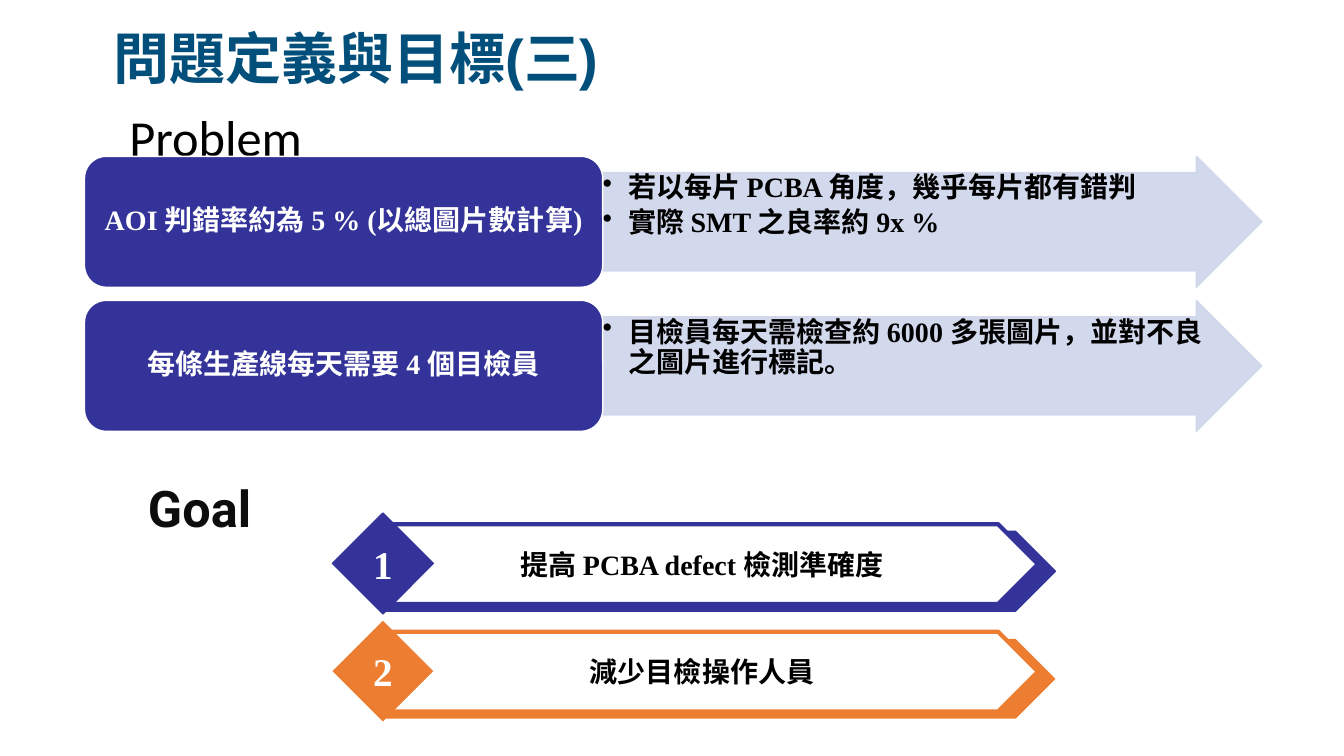
from lxml import etree
from pptx import Presentation
from pptx.dml.color import RGBColor
from pptx.enum.shapes import MSO_SHAPE
from pptx.enum.text import MSO_ANCHOR, MSO_AUTO_SIZE, PP_ALIGN
from pptx.oxml.ns import qn
from pptx.util import Cm, Pt

PLATE, GEM = MSO_SHAPE.PENTAGON, MSO_SHAPE.DIAMOND
ARROW, ROUND = MSO_SHAPE.RIGHT_ARROW, MSO_SHAPE.ROUNDED_RECTANGLE
TOP, MID = MSO_ANCHOR.TOP, MSO_ANCHOR.MIDDLE
LEFT, MIDDLE = PP_ALIGN.LEFT, PP_ALIGN.CENTER
FIXED, GROW = MSO_AUTO_SIZE.NONE, MSO_AUTO_SIZE.SHAPE_TO_FIT_TEXT

HUES = {"navy": "333399", "orange": "ED7D31", "pale": "CFD5EA", "white": "FFFFFF",
        "black": "000000", "ink": "0D0D0D", "teal": "024F7C"}
SERIF, HAN = "Times New Roman", "Noto Sans CJK TC"


def hue(name):
    return RGBColor.from_string(HUES[name])


class Deck:
    def __init__(self):
        self.prs = Presentation()
        self.prs.slide_width, self.prs.slide_height = Cm(33.87), Cm(19.05)
        self.slide = self.prs.slides.add_slide(self.prs.slide_layouts[5])

    def frame(self, shape, pads=(0.25, 0.13, 0.25, 0.13), anchor=MID, fit=FIXED):
        """Set up the text frame of a shape; pads are left, top, right, bottom."""
        tf = shape.text_frame
        tf.word_wrap = True
        tf.auto_size = fit
        tf.vertical_anchor = anchor
        (tf.margin_left, tf.margin_top,
         tf.margin_right, tf.margin_bottom) = [Cm(pad) for pad in pads]
        return tf

    def add_run(self, para, text, size, color, font=SERIF, bold=True, align=MIDDLE, lead=None):
        para.alignment = align
        para.line_spacing = lead
        run = para.add_run()
        run.text = text
        run.font.size = Pt(size)
        run.font.bold = bold
        run.font.name = font
        run.font.color.rgb = hue(color)
        east = etree.Element(qn("a:ea"), typeface=HAN)
        run.font._element.find(qn("a:latin")).addnext(east)

    def title(self, box, text, pads, size, color, font):
        shape = self.slide.shapes.title
        shape.left, shape.top, shape.width, shape.height = [Cm(n) for n in box]
        tf = self.frame(shape, pads)
        self.add_run(tf.paragraphs[0], text, size, color, font, False, LEFT, 0.9)

    def text(self, box, text, pads, size, color, font, fit=FIXED, lead=None):
        shape = self.slide.shapes.add_textbox(*[Cm(n) for n in box])
        tf = self.frame(shape, pads, fit=fit)
        self.add_run(tf.paragraphs[0], text, size, color, font, align=LEFT, lead=lead)

    def bullets(self, box, items):
        shape = self.slide.shapes.add_textbox(*[Cm(n) for n in box])
        tf = self.frame(shape, (0.03,) * 4, TOP)
        for i, item in enumerate(items):
            para = tf.add_paragraph() if i else tf.paragraphs[0]
            props = para._p.get_or_add_pPr()
            props.set("marL", str(Cm(0.64)))
            props.set("indent", str(-Cm(0.64)))
            etree.SubElement(props, qn("a:buChar"), char="•")
            para.space_after = Pt(3)
            self.add_run(para, item, 20, "black", align=LEFT, lead=0.9)

    def shape(self, kind, box, fill, line=None, width=1, alpha=None):
        shape = self.slide.shapes.add_shape(kind, *[Cm(n) for n in box])
        shape.shadow.inherit = False
        shape.fill.solid()
        shape.fill.fore_color.rgb = hue(fill)
        if line:
            shape.line.color.rgb = hue(line)
            shape.line.width = Pt(width)
        else:
            shape.line.fill.background()
        if alpha:
            for tint in shape._element.spPr.iter(qn("a:srgbClr")):
                etree.SubElement(tint, qn("a:alpha"), val=str(alpha * 1000))
        return shape

    def label(self, shape, text, size, color, lead=None, pads=(0.25, 0.13, 0.25, 0.13)):
        tf = self.frame(shape, pads)
        self.add_run(tf.paragraphs[0], text, size, color, lead=lead)


def main():
    deck = Deck()

    # Section titles
    deck.title((0.56, 1.68, 29.21, 3.68), "Problem", (2.7, 0.13, 0.25, 0.13),
               36, "black", "Calibri")
    deck.text((0, 11.71, 33.87, 2.13), "Goal", (3.73, 0.13, 0.25, 0.13),
              36, "ink", "Roboto")

    # Goals: offset plate, front plate, numbered diamond
    goals = [("提高 PCBA defect 檢測準確度", "navy", "navy"),
             ("減少目檢操作人員", "orange", None)]
    for i, (goal, color, edge) in enumerate(goals):
        top = 12.93 + i * 2.71
        deck.shape(PLATE, (9.73, top + 0.46, 16.87, 2.01), color, edge)
        front = deck.shape(PLATE, (9.73, top + 0.28, 16.43, 2.01), "white", color, 3)
        deck.label(front, goal, 20, "black")
        gem = deck.shape(GEM, (8.38, top, 2.54, 2.54), color, edge)
        deck.label(gem, str(i + 1), 28, "white")

    # Problems: arrow with bullets, rounded label
    issues = [("AOI 判錯率約為 5 % (以總圖片數計算)",
               ["若以每片 PCBA 角度，幾乎每片都有錯判", "實際 SMT 之良率約 9x %"]),
              ("每條生產線每天需要 4 個目檢員",
               ["目檢員每天需檢查約 6000 多張圖片，並對不良之圖片進行標記。"])]
    for i, (issue, facts) in enumerate(issues):
        top = 3.94 + i * 3.63
        arrow = deck.shape(ARROW, (15.16, top, 16.64, 3.3), "pale", "pale", alpha=90)
        arrow.adjustments[0] = 0.75
        deck.bullets((15.16, top + 0.41, 15.39, 2.49), facts)
        card = deck.shape(ROUND, (2.13, top, 13.06, 3.3), "navy", "white")
        deck.label(card, issue, 20, "white", 0.9, (0.2, 0.1, 0.2, 0.1))

    # Page heading
    deck.text((0, 0.61, 29.21, 1.88), "問題定義與目標(三)", (2.87, 0.18, 0.33, 0.18),
              40, "teal", "Arial", GROW, 0.9)

    deck.prs.save("out.pptx")


if __name__ == "__main__":
    main()
